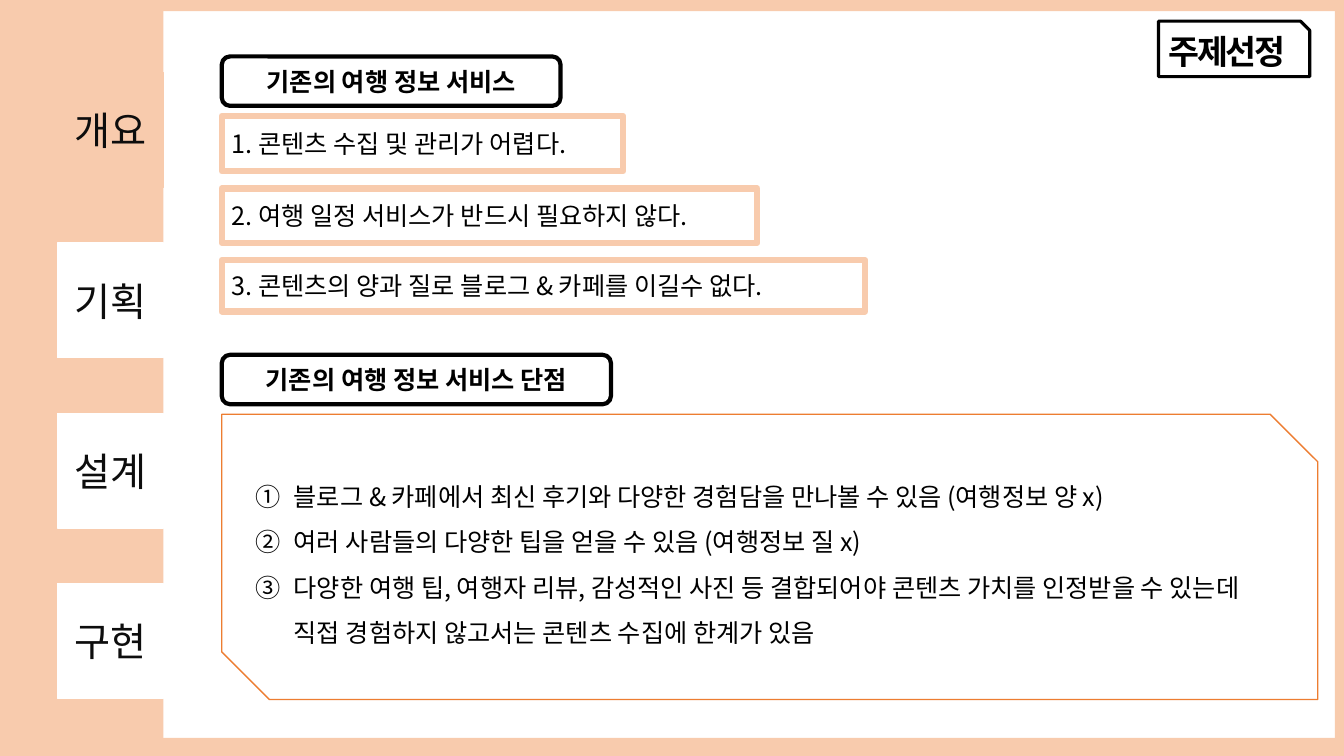
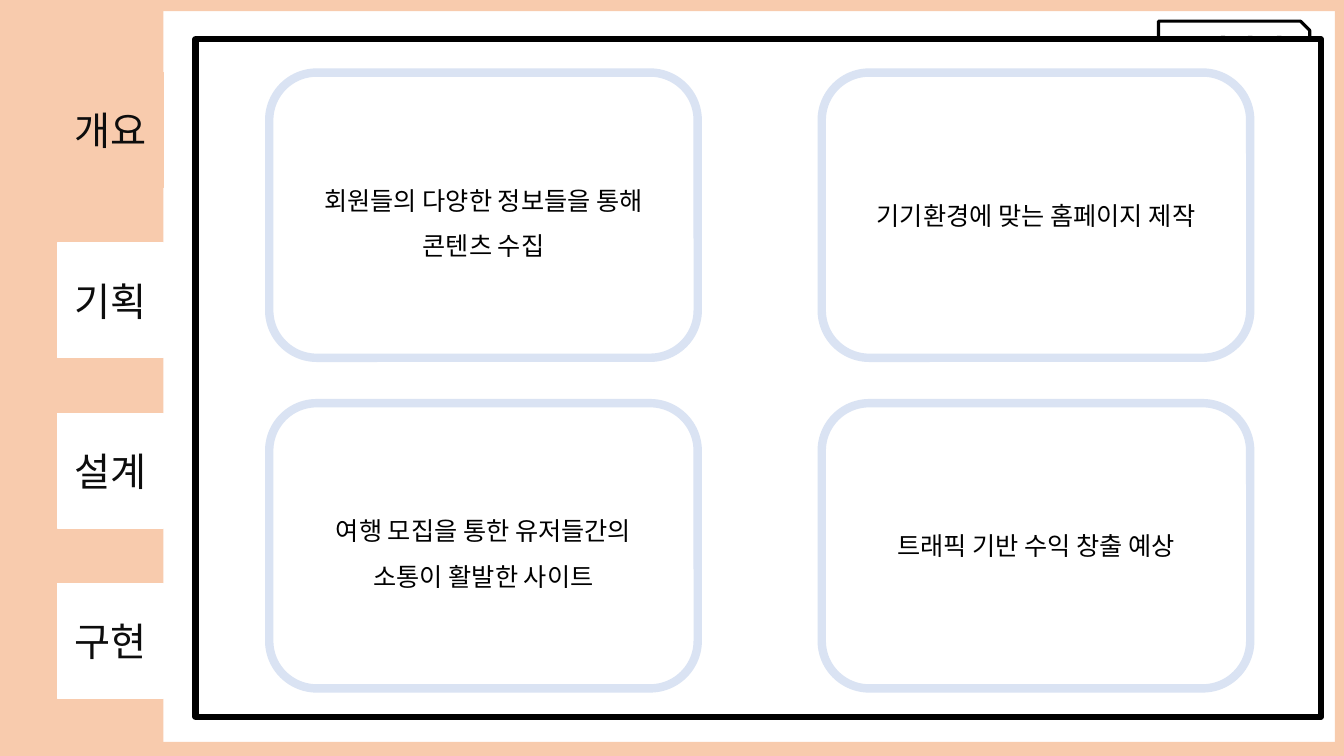
from lxml import etree
from pptx import Presentation
from pptx.dml.color import RGBColor
from pptx.enum.shapes import MSO_SHAPE
from pptx.enum.text import MSO_ANCHOR, MSO_AUTO_SIZE, PP_ALIGN
from pptx.oxml.ns import qn
from pptx.util import Inches, Pt

RECT, ROUND = MSO_SHAPE.RECTANGLE, MSO_SHAPE.ROUNDED_RECTANGLE
SNIP, SNIP_DIAGONAL = MSO_SHAPE.SNIP_1_RECTANGLE, MSO_SHAPE.SNIP_2_DIAG_RECTANGLE
LEFT, CENTER = PP_ALIGN.LEFT, PP_ALIGN.CENTER
TOP, MIDDLE = MSO_ANCHOR.TOP, MSO_ANCHOR.MIDDLE

FONT = "Noto Sans CJK KR"
WIDTH, HEIGHT = 13.33, 7.5
COLORS = {
    "peach": "F8CBAD", "white": "FFFFFF", "black": "000000",
    "ink": "0D0D0D", "orange": "ED7D31", "pale_blue": "DAE3F3",
}

TABS = ["개요", "기획", "설계", "구현"]
TITLE = "주제선정"
# text, top, width
HEADINGS = [
    ("기존의 여행 정보 서비스", 0.56, 3.36),
    ("기존의 여행 정보 서비스 단점", 3.52, 3.86),
]
# text, width, height
ISSUES = [
    ("1. 콘텐츠 수집 및 관리가 어렵다.", 3.98, 0.55),
    ("2. 여행 일정 서비스가 반드시 필요하지 않다.", 5.31, 0.54),
    ("3. 콘텐츠의 양과 질로 블로그 & 카페를 이길수 없다.", 6.38, 0.51),
]
DRAWBACKS = [
    "블로그 & 카페에서 최신 후기와 다양한 경험담을 만나볼 수 있음 (여행정보 양 x)",
    "여러 사람들의 다양한 팁을 얻을 수 있음 (여행정보 질 x)",
    "다양한 여행 팁, 여행자 리뷰, 감성적인 사진 등 결합되어야 콘텐츠 가치를 "
    "인정받을 수 있는데 직접 경험하지 않고서는 콘텐츠 수집에 한계가 있음",
]
GOALS = [
    [["회원들의 다양한 정보들을 통해", "콘텐츠 수집"], ["기기환경에 맞는 홈페이지 제작"]],
    [["여행 모집을 통한 유저들간의", "소통이 활발한 사이트"], ["트래픽 기반 수익 창출 예상"]],
]


def rgb(name):
    return RGBColor.from_string(COLORS[name])


def add_box(page, kind, area, fill="white", line=None, weight=1):
    box = page.shapes.add_shape(kind, *(Inches(value) for value in area))
    box.shadow.inherit = False
    if fill:
        box.fill.solid()
        box.fill.fore_color.rgb = rgb(fill)
    else:
        box.fill.background()
    if line:
        box.line.color.rgb = rgb(line)
        box.line.width = Pt(weight)
    else:
        box.line.fill.background()
    return box


def write(box, lines, size=18, color="black", bold=False, align=LEFT,
          anchor=MIDDLE, spacing=None, numbered=False, tracking=None):
    frame = box.text_frame
    frame.word_wrap = True
    frame.vertical_anchor = anchor
    for index, line in enumerate(lines):
        para = frame.paragraphs[0] if index == 0 else frame.add_paragraph()
        if numbered:
            number_with_circles(para)
        para.alignment = align
        if spacing:
            para.line_spacing = spacing
        span = para.add_run()
        span.text = line
        for name, value in {"name": FONT, "size": Pt(size), "bold": bold}.items():
            setattr(span.font, name, value)
        span.font.color.rgb = rgb(color)
        properties = span.font._element
        etree.SubElement(properties, qn("a:ea")).set("typeface", FONT)
        if tracking:
            properties.set("spc", str(int(tracking * 100)))


def number_with_circles(para):
    properties = para._p.get_or_add_pPr()
    indent = Inches(0.38)
    properties.set("marL", str(indent))
    properties.set("indent", str(-indent))
    bullet = etree.SubElement(properties, qn("a:buAutoNum"))
    bullet.set("type", "circleNumDbPlain")


def add_page(deck, bottom):
    """Add a slide with the peach border, the side tabs and the title."""
    page = deck.slides.add_slide(deck.slide_layouts[6])
    add_box(page, RECT, (0, 0, 1.51, HEIGHT), "peach", "peach")
    borders = [
        (1.51, 0, WIDTH - 1.51, 0.11),
        (13.24, 0, WIDTH - 13.24, HEIGHT),
        (1.51, bottom, WIDTH - 1.51, HEIGHT - bottom),
        (1.51, 0, 0.11, HEIGHT),
    ]
    for area in borders:
        add_box(page, RECT, area, "peach")
    for index, label in enumerate(TABS):
        color = "peach" if index == 0 else "white"
        tab = add_box(page, RECT, (0.57, 0.72 + 1.69 * index, 1.05, 1.14), color, color)
        write(tab, [label], size=28, color="ink", align=CENTER)
    title = add_box(page, SNIP, (11.49, 0.21, 1.5, 0.55), None, "black", 2.25)
    write(title, [TITLE], size=24, bold=True, anchor=TOP, tracking=-1.5)
    title.text_frame.auto_size = MSO_AUTO_SIZE.SHAPE_TO_FIT_TEXT
    return page


def build_problem_page(deck):
    page = add_page(deck, bottom=7.32)
    left = 2.2
    for text, top, width in HEADINGS:
        heading = add_box(page, ROUND, (left, top, width, 0.49), line="black", weight=3)
        write(heading, [text], bold=True, align=CENTER)
    top, gap = 1.15, 0.17
    for text, width, height in ISSUES:
        issue = add_box(page, RECT, (left, top, width, height), line="peach", weight=4.5)
        write(issue, [text])
        top += height + gap
    panel = add_box(page, SNIP_DIAGONAL, (left, 4.11, 10.87, 2.83), line="orange")
    write(panel, DRAWBACKS, spacing=1.5, numbered=True)


def build_goal_page(deck):
    page = add_page(deck, bottom=7.36)
    add_box(page, RECT, (1.94, 0.39, 11.16, 6.72), line="black", weight=4.5)
    for row, goals in enumerate(GOALS):
        for column, lines in enumerate(goals):
            area = (2.67 + 5.48 * column, 0.72 + 3.28 * row, 4.25, 2.83)
            card = add_box(page, ROUND, area, line="pale_blue", weight=6)
            write(card, lines, align=CENTER, spacing=1.5 if len(lines) > 1 else None)


def main():
    deck = Presentation()
    deck.slide_width, deck.slide_height = Inches(WIDTH), Inches(HEIGHT)
    build_problem_page(deck)
    build_goal_page(deck)
    deck.save("out.pptx")


if __name__ == "__main__":
    main()
